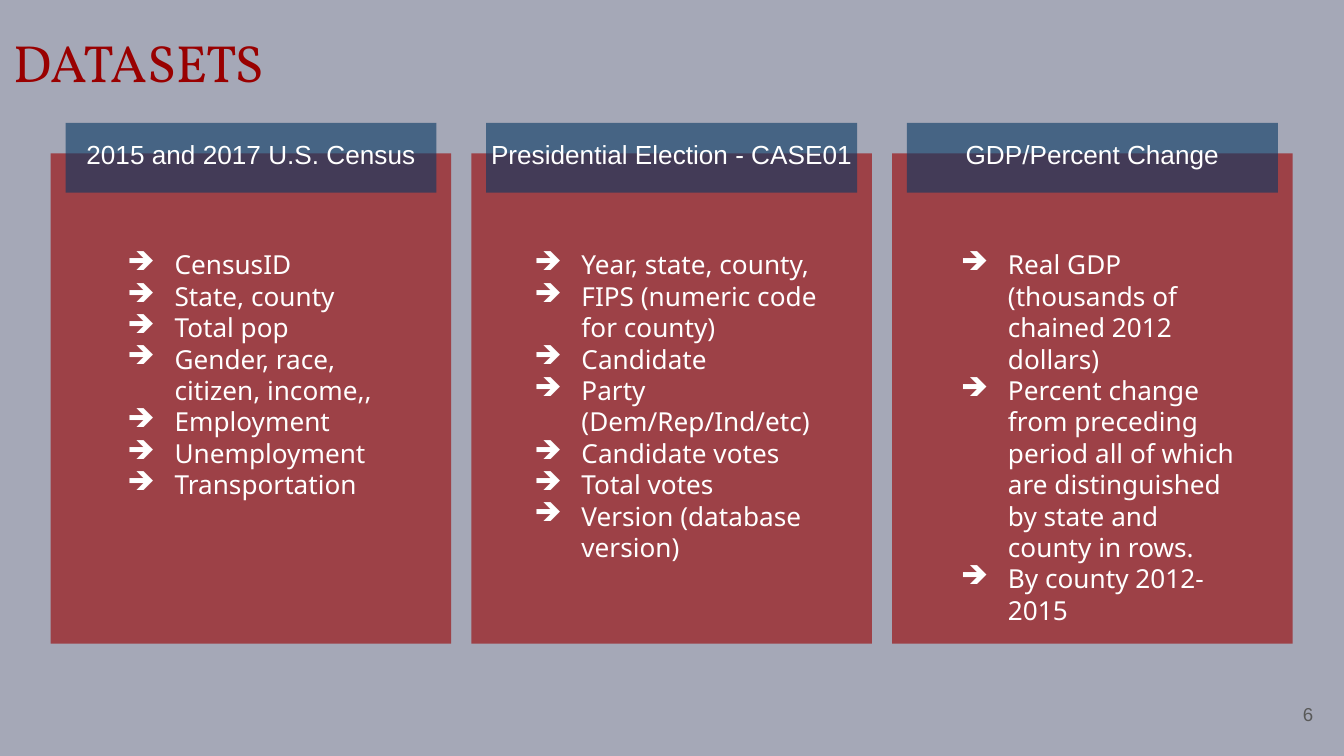
from pptx import Presentation
from pptx.dml.color import RGBColor
from pptx.enum.shapes import MSO_SHAPE as Shape
from pptx.enum.text import MSO_ANCHOR as Anchor, PP_ALIGN as Align
from pptx.oxml import parse_xml
from pptx.oxml.ns import nsdecls
from pptx.util import Cm, Pt


def paint(fill, color, opacity=100):
    fill.solid()
    fill.fore_color.rgb = RGBColor.from_string(color)
    if opacity < 100:
        alpha = parse_xml(f'<a:alpha {nsdecls("a")} val="{opacity * 1000}"/>')
        fill._xPr.find(".//{*}srgbClr").append(alpha)


def write(page, area, lines, font, size, color, align=Align.LEFT, bullet=None):
    box = page.shapes.add_textbox(*map(Cm, area))
    frame = box.text_frame
    frame.word_wrap = True
    frame.margin_left = frame.margin_right = Cm(0.25)
    frame.margin_top = frame.margin_bottom = Cm(0.25)
    frame.text = "\n".join(lines)
    for para in frame.paragraphs:
        para.alignment = align
        para.font.name = font
        para.font.size = Pt(size)
        paint(para.font.fill, color)
        if bullet:
            para.line_spacing = Pt(16.8)
            props = para._p.get_or_add_pPr()
            props.set("marL", str(Cm(1.27)))
            props.set("indent", str(-Cm(0.89)))
            marks = (
                f'<a:buClr {nsdecls("a")}><a:srgbClr val="{color}"/></a:buClr>',
                f'<a:buChar {nsdecls("a")} char="{bullet}"/>',
            )
            for mark in marks:
                props.find("{*}defRPr").addprevious(parse_xml(mark))
    return frame


deck = Presentation()
deck.slide_width, deck.slide_height = Cm(25.4), Cm(14.28)
page = deck.slides.add_slide(deck.slide_layouts[6])
paint(page.background.fill, "A5A8B7")

write(page, (0, 0.33, 16.18, 1.6), ["DATASETS"], "Vollkorn", 28, "990000")
number = write(page, (23.55, 12.95, 1.52, 1.09), ["6"], "Arial", 10, "595959", Align.RIGHT)
number.vertical_anchor = Anchor.MIDDLE

datasets = [
    ("2015 and 2017 U.S. Census", (1.78, 4.45, 5.92, 6.05), [
        "CensusID",
        "State, county",
        "Total pop",
        "Gender, race, citizen, income,,",
        "Employment",
        "Unemployment",
        "Transportation",
    ]),
    ("Presidential Election - CASE01", (9.47, 4.45, 6.45, 6.38), [
        "Year, state, county,",
        "FIPS (numeric code for county)",
        "Candidate",
        "Party (Dem/Rep/Ind/etc)",
        "Candidate votes",
        "Total votes",
        "Version (database version)",
    ]),
    ("GDP/Percent Change", (17.53, 4.45, 6.25, 7.06), [
        "Real GDP (thousands of chained 2012 dollars)",
        "Percent change from preceding period all of which are distinguished "
        "by state and county in rows.",
        "By county 2012-2015",
    ]),
]

for column, (heading, area, fields) in enumerate(datasets):
    shift = column * 7.95
    panel = (0.96 + shift, 2.9, 7.57, 9.26), "990000", 61
    header = (1.24 + shift, 2.32, 7.01, 1.32), "073763", 60
    for place, color, opacity in (panel, header):
        block = page.shapes.add_shape(Shape.RECTANGLE, *map(Cm, place))
        block.shadow.inherit = False
        block.line.fill.background()
        paint(block.fill, color, opacity)
    write(page, (0.77 + shift, 2.36, 7.95, 1.27), [heading], "Arial", 14, "FFFFFF", Align.CENTER)
    write(page, area, fields, "Noto Sans", 14, "FFFFFF", bullet="➔")

deck.save("out.pptx")
